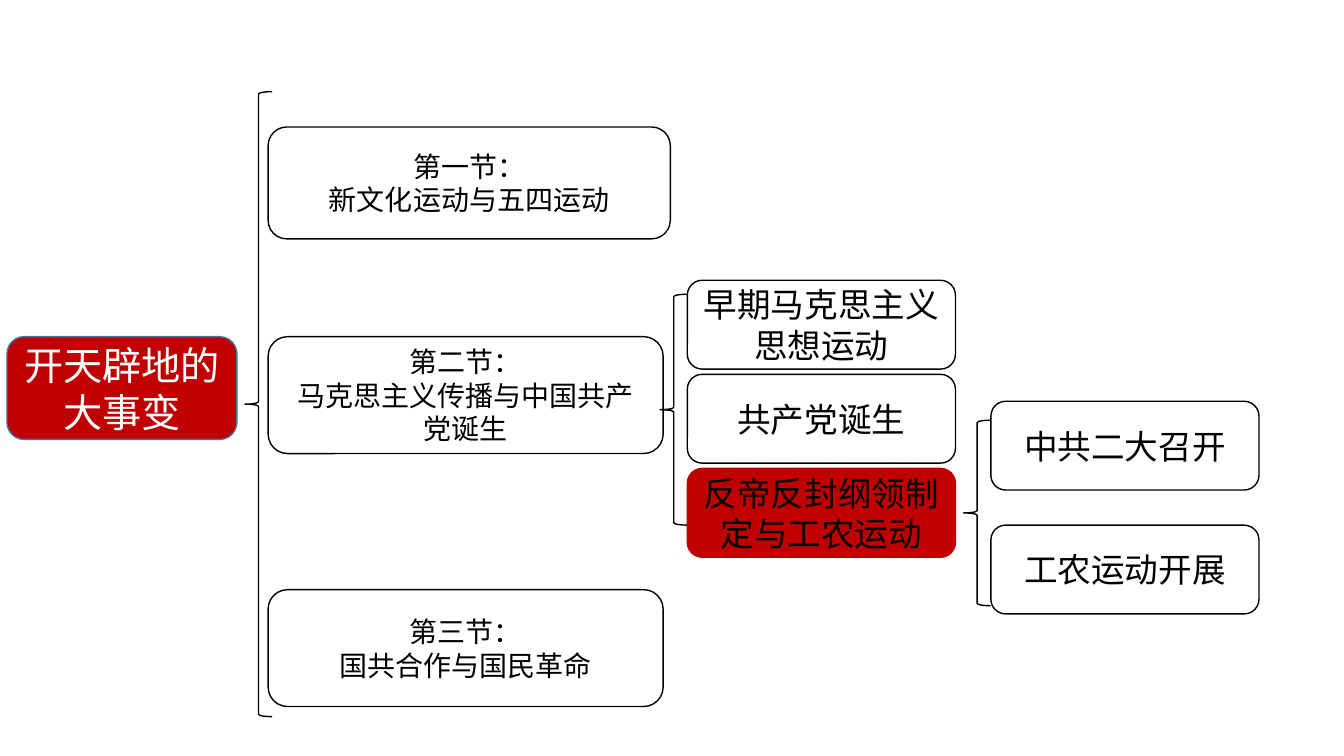
from lxml.etree import SubElement
from pptx import Presentation
from pptx.dml.color import RGBColor
from pptx.enum.shapes import MSO_SHAPE as Preset
from pptx.enum.text import MSO_ANCHOR as Anchor, PP_ALIGN as Align
from pptx.oxml.ns import qn
from pptx.util import Pt

FONT = "Noto Sans CJK SC"
BLACK, WHITE, RED, BLUE = "000000", "FFFFFF", "C00000", "43739E"
BRACE_WIDTH = 19.4
CARD_WIDTH, CARD_HEIGHT = 191.5, 63.4


def color(value):
    return RGBColor.from_string(value)


def add_outline(slide, preset, box, line=BLACK, fill=None):
    shape = slide.shapes.add_shape(preset, *[Pt(length) for length in box])
    shape.shadow.inherit = False
    if fill:
        shape.fill.solid()
        shape.fill.fore_color.rgb = color(fill)
    else:
        shape.fill.background()
    shape.line.color.rgb = color(line)
    shape.line.width = Pt(1)
    return shape


def add_node(slide, box, lines, size, text_color=BLACK, line=BLACK, fill=None):
    shape = add_outline(slide, Preset.ROUNDED_RECTANGLE, box, line, fill)
    frame = shape.text_frame
    for name, value in {"word_wrap": True, "vertical_anchor": Anchor.MIDDLE}.items():
        setattr(frame, name, value)
    for index, text in enumerate(lines):
        paragraph = frame.paragraphs[0] if index == 0 else frame.add_paragraph()
        paragraph.alignment = Align.CENTER
        run = paragraph.add_run()
        run.text = text
        for name, value in {"name": FONT, "size": Pt(size)}.items():
            setattr(run.font, name, value)
        run.font.color.rgb = color(text_color)
        # Chinese text takes the East Asian typeface
        SubElement(run.font._element, qn("a:ea"), typeface=FONT)


def add_brace(slide, left, top, height):
    add_outline(slide, Preset.LEFT_BRACE, (left, top, BRACE_WIDTH, height))


def add_sections(slide, left):
    """Three section boxes: top, width, height, fill and lines of each."""
    sections = [
        (90.7, 287.3, 79.9, None, ["第一节：", "新文化运动与五四运动"]),
        (240.5, 282.2, 83.5, WHITE, ["第二节：", "马克思主义传播与中国共产党诞生"]),
        (421.2, 282.2, 83.5, WHITE, ["第三节：", "国共合作与国民革命"]),
    ]
    for top, width, height, fill, lines in sections:
        add_node(slide, (left, top, width, height), lines, 20, fill=fill)


def add_cards(slide, left, top, pitch, texts, highlighted=None):
    """A column of equal cards, one of which may be red."""
    for index, text in enumerate(texts):
        style = {"line": RED, "fill": RED} if text == highlighted else {}
        box = (left, top + index * pitch, CARD_WIDTH, CARD_HEIGHT)
        add_node(slide, box, [text], 24, **style)


def main():
    presentation = Presentation()
    presentation.slide_width, presentation.slide_height = Pt(960), Pt(540)
    slide = presentation.slides.add_slide(presentation.slide_layouts[6])

    # Root topic
    add_node(slide, (5, 240.5, 164.2, 73.4), ["开天辟地的大事变"], 28,
             WHITE, BLUE, RED)

    # Sections
    add_brace(slide, 175, 65.5, 446.4)
    add_sections(slide, 191.5)

    # Topics of the second section
    topics = ["早期马克思主义思想运动", "共产党诞生", "反帝反封纲领制定与工农运动"]
    add_brace(slide, 471.6, 210.2, 164.9)
    add_cards(slide, 491, 200.2, 67.2, topics, highlighted=topics[-1])

    # Events of the highlighted topic
    add_brace(slide, 688.3, 300.2, 132.5)
    add_cards(slide, 707.8, 286.6, 88.5, ["中共二大召开", "工农运动开展"])

    presentation.save("out.pptx")


if __name__ == "__main__":
    main()
